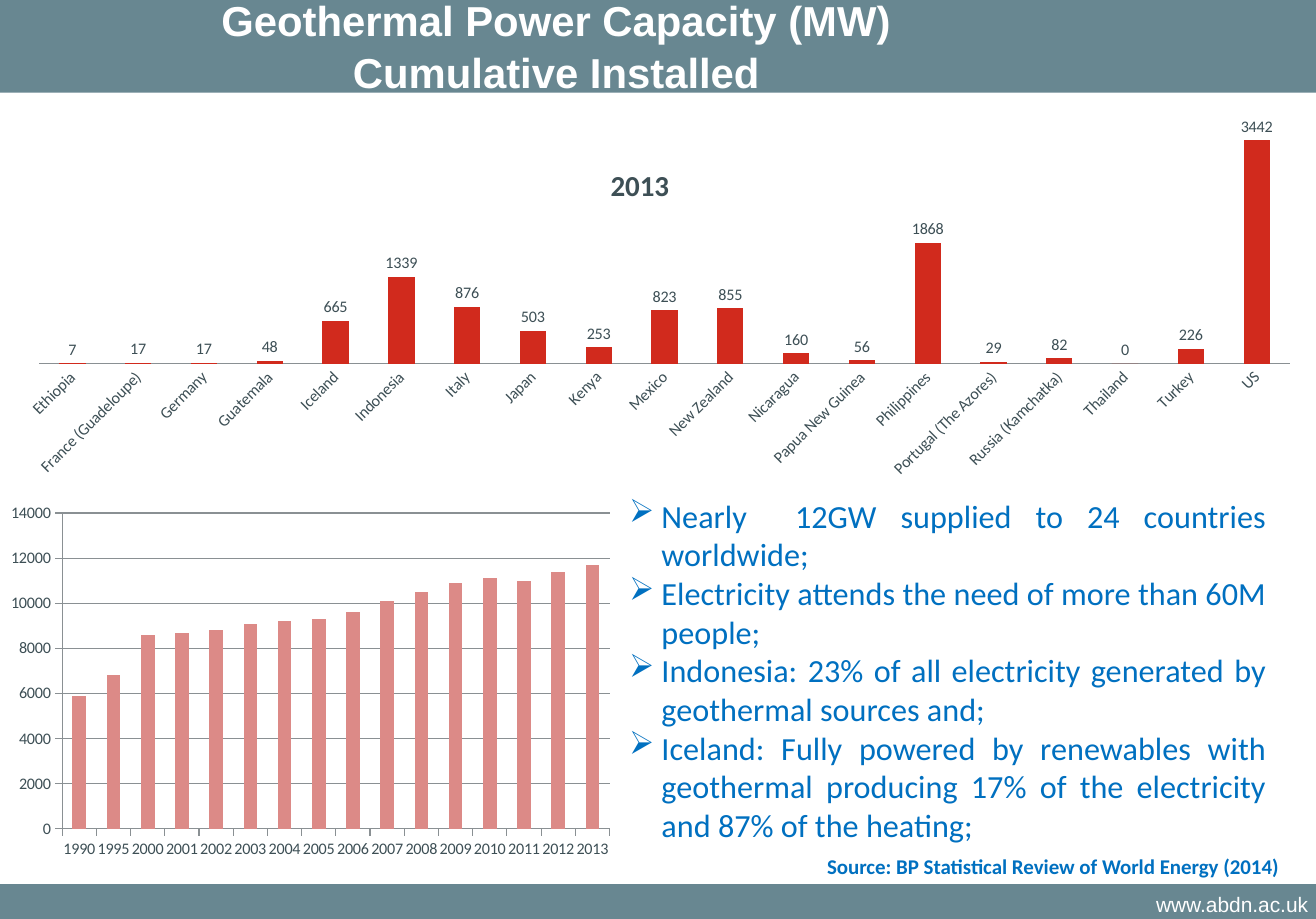
"""Build the geothermal power capacity slide."""
import dataclasses

import pptx
import pptx.chart.data
import pptx.dml.color
import pptx.enum.chart
import pptx.enum.shapes
import pptx.enum.text
import pptx.oxml
import pptx.oxml.ns
import pptx.util

Inches = pptx.util.Inches
Pt = pptx.util.Pt
RGB = pptx.dml.color.RGBColor.from_string
qn = pptx.oxml.ns.qn
ALIGN = pptx.enum.text.PP_ALIGN
ANCHOR = pptx.enum.text.MSO_ANCHOR
TICK = pptx.enum.chart.XL_TICK_MARK


@dataclasses.dataclass(frozen=True)
class Theme:
    """Colours, fonts and type sizes of the slide."""
    band: str = "688791"
    white: str = "FFFFFF"
    blue: str = "0070C0"
    ink: str = "3D4F55"
    red: str = "D12A1D"
    pink: str = "DC8A87"
    grid: str = "8A9093"
    head_font: str = "Arial"
    body_font: str = "Calibri"
    title_size: float = 26
    body_size: float = 20
    chart_title_size: float = 18
    small_size: float = 13
    chart_size: float = 10


def apply(target, values):
    """Set each named value as an attribute of the target."""
    for name, value in values.items():
        setattr(target, name, value)


def place(target, box):
    """Move and size a shape by a box in inches."""
    apply(target, dict(zip(("left", "top", "width", "height"), map(Inches, box))))


class SlideBuilder:
    """Add styled elements to one slide."""

    def __init__(self, prs, theme):
        """Add a title-only slide to the presentation."""
        self.theme = theme
        self.slide = prs.slides.add_slide(prs.slide_layouts[5])
        self.shapes = self.slide.shapes

    def style(self, font, size, color, name=None, bold=False):
        """Give a font its face, size and colour."""
        apply(font, {"name": name or self.theme.body_font, "size": Pt(size), "bold": bold})
        font.color.rgb = RGB(color)

    def band(self, box):
        """Add a plain coloured band."""
        sp = self.shapes.add_shape(pptx.enum.shapes.MSO_SHAPE.RECTANGLE, *map(Inches, box))
        sp.shadow.inherit = False
        sp.fill.solid()
        sp.fill.fore_color.rgb = RGB(self.theme.band)
        sp.line.fill.background()

    def put_lines(self, sp, lines, align, font, anchor=ANCHOR.TOP, wrap=True, bullet=None,
                  spacing=1.0):
        """Fill a shape with one paragraph per line."""
        tf = sp.text_frame
        apply(tf, {"word_wrap": wrap, "vertical_anchor": anchor,
                   "auto_size": pptx.enum.text.MSO_AUTO_SIZE.NONE,
                   "margin_left": Inches(0.11), "margin_right": Inches(0.11),
                   "margin_top": Inches(0.06), "margin_bottom": Inches(0.06)})
        for i, line in enumerate(lines):
            p = tf.paragraphs[0] if i == 0 else tf.add_paragraph()
            apply(p, {"alignment": align, "line_spacing": spacing,
                      "space_before": Pt(0), "space_after": Pt(0)})
            if bullet:
                pPr = p._p.get_or_add_pPr()
                pPr.set("marL", str(Inches(0.28)))
                pPr.set("indent", str(-Inches(0.28)))
                pPr.append(pptx.oxml.parse_xml(
                    f'<a:buChar {pptx.oxml.ns.nsdecls("a")} char="{bullet}"/>'))
            r = p.add_run()
            r.text = line
            self.style(r.font, **font)

    def title(self, box, lines, font):
        """Place the title placeholder in front of the bands."""
        sp = self.shapes.title
        self.shapes._spTree.append(sp._element)
        place(sp, box)
        self.put_lines(sp, lines, ALIGN.CENTER, font, ANCHOR.MIDDLE, spacing=1.05)

    def text(self, box, lines, align, font, **options):
        """Add a text box."""
        sp = self.shapes.add_textbox(*map(Inches, box))
        self.put_lines(sp, lines, align, font, **options)

    def layout(self, element, index, values, inner=False):
        """Fix the place of a chart part by fractions of the chart."""
        for old in element.findall(qn("c:layout")):
            element.remove(old)
        parts = '<c:layoutTarget val="inner"/>' if inner else ""
        parts += "".join(f'<c:{k}Mode val="edge"/>' for k in values if k in "xy")
        parts += "".join(f'<c:{k} val="{v}"/>' for k, v in values.items())
        element.insert(index, pptx.oxml.parse_xml(
            f'<c:layout {pptx.oxml.ns.nsdecls("c")}><c:manualLayout>{parts}'
            '</c:manualLayout></c:layout>'))

    def columns(self, box, values, color, top, plot_box):
        """Add a column chart of one series and return it."""
        data = pptx.chart.data.CategoryChartData(number_format="0")
        data.categories = list(values)
        data.add_series("Series 1", list(values.values()))
        chart = self.shapes.add_chart(
            pptx.enum.chart.XL_CHART_TYPE.COLUMN_CLUSTERED, *map(Inches, box), data).chart
        apply(chart, {"has_legend": False, "has_title": False})
        self.style(chart.font, self.theme.chart_size, self.theme.ink)
        plot = chart.plots[0]
        apply(plot, {"gap_width": 150, "vary_by_categories": False})
        fill = plot.series[0].format.fill
        fill.solid()
        fill.fore_color.rgb = RGB(color)
        apply(chart.value_axis, {"minimum_scale": 0, "maximum_scale": top,
                                 "has_major_gridlines": False})
        for axis in (chart.category_axis, chart.value_axis):
            axis.format.line.color.rgb = RGB(self.theme.grid)
            axis.format.line.width = Pt(0.75)
        plot_area = chart._chartSpace.find(qn("c:chart")).find(qn("c:plotArea"))
        self.layout(plot_area, 0, dict(zip("xywh", plot_box)), inner=True)
        return chart

    def yearly_chart(self, box, values):
        """Add the chart of world capacity by year."""
        chart = self.columns(box, values, self.theme.pink, 14000, (0.1, 0.04, 0.88, 0.86))
        apply(chart.value_axis, {"major_unit": 2000, "has_major_gridlines": True,
                                 "major_tick_mark": TICK.OUTSIDE})
        line = chart.value_axis.major_gridlines.format.line
        line.color.rgb = RGB(self.theme.grid)
        line.width = Pt(0.75)
        chart.category_axis.major_tick_mark = TICK.OUTSIDE

    def country_chart(self, box, values, heading):
        """Add the chart of capacity by country."""
        chart = self.columns(box, values, self.theme.red, 4000, (0.03, 0.17, 0.95, 0.56))
        chart.value_axis.visible = False
        axis = chart.category_axis
        axis.major_tick_mark = TICK.NONE
        self.style(axis.tick_labels.font, self.theme.chart_size, self.theme.ink)
        axis._element.find(qn("c:txPr")).find(qn("a:bodyPr")).set("rot", str(-45 * 60000))
        plot = chart.plots[0]
        apply(plot, {"overlap": -25, "has_data_labels": True})
        apply(plot.data_labels, {
            "show_value": True, "number_format": "0", "number_format_is_linked": False,
            "position": pptx.enum.chart.XL_LABEL_POSITION.OUTSIDE_END})
        self.style(plot.data_labels.font, self.theme.chart_size, self.theme.ink)
        title = chart.chart_title
        r = title.text_frame.paragraphs[0].add_run()
        r.text = heading
        self.style(r.font, self.theme.chart_title_size, self.theme.ink, bold=True)
        self.layout(title._element, 1, {"x": 0.46, "y": 0.29})


def main():
    """Build the slide and save it."""
    prs = pptx.Presentation()
    apply(prs, {"slide_width": Inches(11.36), "slide_height": Inches(7.93)})
    t = Theme()
    s = SlideBuilder(prs, t)
    s.band((0, 7.63, 11.36, 0.3))
    s.band((0, 0, 11.36, 0.8))
    s.text((8.45, 7.63, 2.95, 0.38), ["www.abdn.ac.uk"], ALIGN.RIGHT,
           {"size": t.small_size, "color": t.white, "name": t.head_font})
    years = ["1990", "1995", *map(str, range(2000, 2014))]
    capacity = [5900, 6800, 8600, 8700, 8800, 9100, 9200, 9300,
                9600, 10100, 10500, 10900, 11100, 11000, 11400, 11700]
    s.yearly_chart((0, 4.3, 5.37, 3.17), dict(zip(years, capacity)))
    s.title((0, -0.11, 9.61, 0.99), ["Geothermal Power Capacity (MW)", "Cumulative Installed"],
            {"size": t.title_size, "color": t.white, "name": t.head_font, "bold": True})
    s.text((7.03, 7.31, 4.18, 0.33), ["Source: BP Statistical Review of World Energy (2014)"],
           ALIGN.LEFT, {"size": t.small_size, "color": t.blue, "bold": True}, wrap=False)
    s.country_chart((0, 0.22, 11.36, 4), {
        "Ethiopia": 7, "France (Guadeloupe)": 17, "Germany": 17, "Guatemala": 48,
        "Iceland": 665, "Indonesia": 1339, "Italy": 876, "Japan": 503, "Kenya": 253,
        "Mexico": 823, "New Zealand": 855, "Nicaragua": 160, "Papua New Guinea": 56,
        "Philippines": 1868, "Portugal (The Azores)": 29, "Russia (Kamchatka)": 82,
        "Thailand": 0, "Turkey": 226, "US": 3442}, "2013")
    s.text((5.32, 4.22, 5.72, 3.14), [
        "Nearly  12GW supplied to 24 countries worldwide;",
        "Electricity attends the need of more than 60M people;",
        "Indonesia: 23% of all electricity generated by geothermal sources and;",
        "Iceland: Fully powered by renewables with geothermal producing 17% of the "
        "electricity and 87% of the heating;"],
        ALIGN.JUSTIFY, {"size": t.body_size, "color": t.blue}, bullet="➢")
    prs.save("out.pptx")


if __name__ == "__main__":
    main()
